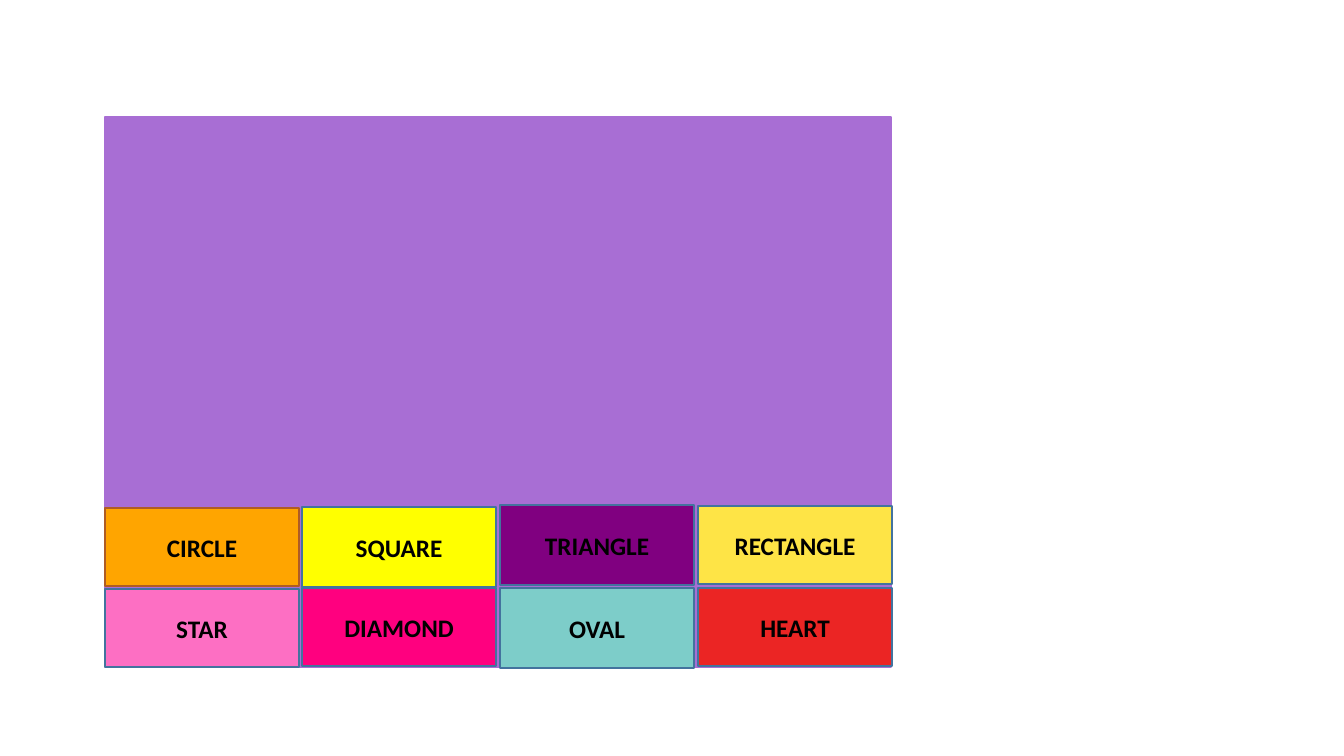
from dataclasses import dataclass

from lxml import etree
from pptx import Presentation
from pptx import util as u
from pptx.dml.color import RGBColor
from pptx.enum import shapes, text
from pptx.oxml.ns import qn

PIXEL = u.Inches(1) / 100.8


def px(length):
    return u.Emu(round(length * PIXEL))


@dataclass(frozen=True)
class Theme:
    font: str = "Calibri"
    label_size: int = 18
    label: str = "000000"
    label_outline: float = 0.75
    board: str = "A86ED4"
    border: str = "43739E"
    warm_border: str = "AF5C24"
    border_width: int = 1


class Board:
    def __init__(self, page, theme):
        self.theme = theme
        self.group = page.shapes.add_group_shape()

    def rectangle(self, left, top, width, height, fill, line):
        box = self.group.shapes.add_shape(
            shapes.MSO_SHAPE.RECTANGLE, px(left), px(top), px(width), px(height))
        box.shadow.inherit = False
        box.fill.solid()
        box.fill.fore_color.rgb = RGBColor.from_string(fill)
        box.line.color.rgb = RGBColor.from_string(line)
        box.line.width = u.Pt(self.theme.border_width)
        return box

    def label(self, box, wording):
        frame = box.text_frame
        frame.word_wrap = True
        frame.vertical_anchor = text.MSO_ANCHOR.MIDDLE
        para = frame.paragraphs[0]
        para.alignment = text.PP_ALIGN.CENTER
        span = para.add_run()
        span.text = wording
        span.font.name = self.theme.font
        span.font.size = u.Pt(self.theme.label_size)
        span.font.bold = True
        span.font.color.rgb = RGBColor.from_string(self.theme.label)
        self.outline(span)

    def outline(self, span):
        line = etree.Element(qn("a:ln"), w=str(u.Pt(self.theme.label_outline)))
        fill = etree.SubElement(line, qn("a:solidFill"))
        etree.SubElement(fill, qn("a:srgbClr"), val=self.theme.label)
        span.font._element.insert(0, line)

    def tile(self, column, top, height, wording, fill, line):
        left = round(BOARD_LEFT + column * COLUMN_STEP)
        box = self.rectangle(left, top, TILE_WIDTH, height, fill, line)
        self.label(box, wording)


BOARD_LEFT, BOARD_TOP, BOARD_WIDTH, BOARD_HEIGHT = 105, 117, 786, 550
COLUMN_STEP = 197.5
TILE_WIDTH = 194

theme = Theme()
TILES = [
    (0, 589, 78, "STAR", "FD6FC3", theme.border),
    (2, 505, 80, "TRIANGLE", "800080", theme.border),
    (1, 507, 80, "SQUARE", "FFFF00", theme.border),
    (3, 506, 78, "RECTANGLE", "FEE446", theme.border),
    (0, 508, 78, "CIRCLE", "FFA500", theme.warm_border),
    (1, 588, 78, "DIAMOND", "FF007F", theme.border),
    (3, 588, 78, "HEART", "EB2524", theme.border),
    (2, 588, 80, "OVAL", "7DCDC9", theme.border),
]

deck = Presentation()
deck.slide_width, deck.slide_height = u.Inches(13.33), u.Inches(7.5)
page = deck.slides.add_slide(deck.slide_layouts[6])

board = Board(page, theme)
board.rectangle(BOARD_LEFT, BOARD_TOP, BOARD_WIDTH, BOARD_HEIGHT,
                theme.board, theme.board)
for tile in TILES:
    board.tile(*tile)

deck.save("out.pptx")
